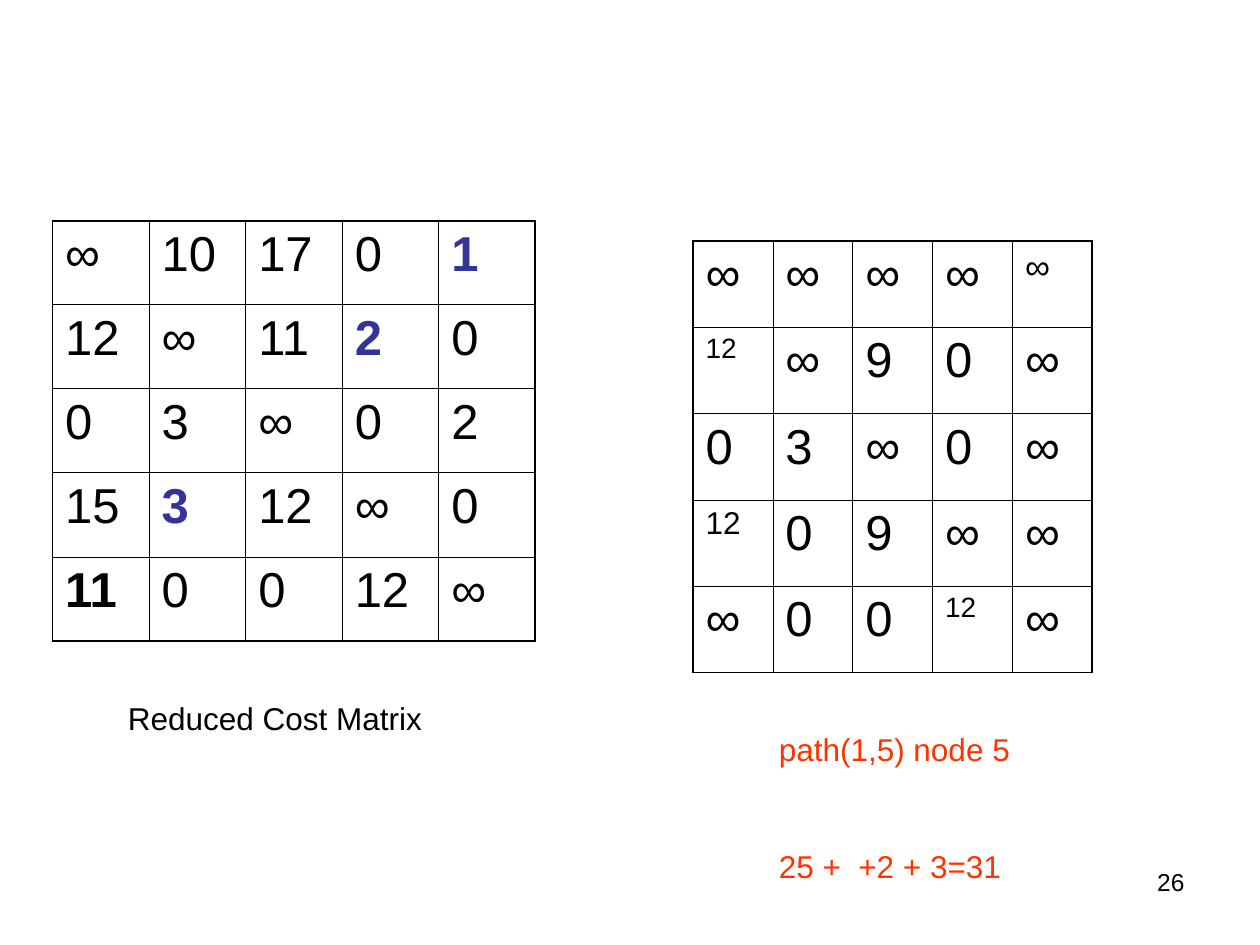
from pptx import Presentation
from pptx.dml.color import RGBColor
from pptx.enum.text import MSO_ANCHOR, MSO_AUTO_SIZE, PP_ALIGN
from pptx.oxml.ns import qn
from pptx.util import Cm, Pt
from lxml import etree

TOP = MSO_ANCHOR.TOP
GROW, FIXED = MSO_AUTO_SIZE.SHAPE_TO_FIT_TEXT, MSO_AUTO_SIZE.NONE
LEFT, RIGHT = PP_ALIGN.LEFT, PP_ALIGN.RIGHT

THEME = {
    "font": "Arial",
    "ink": "000000", "marked": "333399", "accent": "FF3300",
    "entry": 28, "caption": 18, "number": 14,
    "inner_line": 0.45, "outer_line": 1.08,
}

# Content: matrices as rows of entries, with format exceptions by (row, column)
MARKED = {"color": THEME["marked"], "bold": True}
MATRICES = [
    {
        "box": (13.97, 4.86, 8.05, 8.7),
        "rows": ["∞ ∞ ∞ ∞ ∞", "12 ∞ 9 0 ∞", "0 3 ∞ 0 ∞",
                 "12 0 9 ∞ ∞", "∞ 0 0 12 ∞"],
        "special": {(0, 4): {"size": 20}, (1, 0): {"size": 16},
                    (3, 0): {"size": 18}, (4, 3): {"size": 16}},
    },
    {
        "box": (1.06, 4.45, 9.73, 8.47),
        "rows": ["∞ 10 17 0 1", "12 ∞ 11 2 0", "0 3 ∞ 0 2",
                 "15 3 12 ∞ 0", "11 0 0 12 ∞"],
        "special": {(0, 4): MARKED, (1, 3): MARKED, (3, 1): MARKED,
                    (4, 0): {"bold": True}},
    },
]

LABELS = [
    {"box": (2.33, 13.97, 6.43, 1.02), "lines": ["Reduced Cost Matrix"],
     "font": {"size": THEME["caption"]}, "wrap": False, "fit": GROW},
    {"box": (15.45, 14.6, 8.46, 3.35),
     "lines": ["path(1,5) node 5", "25 +  +2 + 3=31"],
     "font": {"size": THEME["caption"], "color": THEME["accent"]},
     "gap": 45, "fit": GROW},
    {"box": (18.21, 17.35, 5.92, 1.32), "lines": ["26"],
     "font": {"size": THEME["number"]}, "align": RIGHT},
]


def add_run(p, text, size=THEME["entry"], color=THEME["ink"], bold=False):
    r = p.add_run()
    r.text = text
    values = {"name": THEME["font"], "size": Pt(size), "bold": bold}
    for name, value in values.items():
        setattr(r.font, name, value)
    r.font.color.rgb = RGBColor.from_string(color)


def set_borders(cell, widths):
    """Draw the cell edges; widths maps L, R, T, B to points."""
    tc_pr = cell._tc.get_or_add_tcPr()
    for i, (side, width) in enumerate(widths.items()):
        ln = etree.Element(qn(f"a:ln{side}"), w=str(Pt(width)))
        fill = etree.SubElement(ln, qn("a:solidFill"))
        etree.SubElement(fill, qn("a:srgbClr"), val=THEME["ink"])
        tc_pr.insert(i, ln)


def add_matrix(s, box, rows, special):
    grid = [row.split() for row in rows]
    n = len(grid)
    table = s.shapes.add_table(n, n, *map(Cm, box)).table
    table.first_row = table.horz_banding = False
    for col in table.columns:
        col.width = Cm(box[2] / n)
    for row in table.rows:
        row.height = Cm(box[3] / n)
    for i, entries in enumerate(grid):
        for j, text in enumerate(entries):
            cell = table.cell(i, j)
            cell.vertical_anchor = TOP
            cell.fill.background()
            on_edge = {"L": j == 0, "R": j == n - 1,
                       "T": i == 0, "B": i == n - 1}
            set_borders(cell, {
                side: THEME["outer_line" if outer else "inner_line"]
                for side, outer in on_edge.items()})
            add_run(cell.text_frame.paragraphs[0], text,
                    **special.get((i, j), {}))


def add_label(s, box, lines, font, wrap=True, fit=FIXED, align=LEFT, gap=0):
    tf = s.shapes.add_textbox(*map(Cm, box)).text_frame
    values = {"word_wrap": wrap, "auto_size": fit, "vertical_anchor": TOP}
    for name, value in values.items():
        setattr(tf, name, value)
    for i, line in enumerate(lines):
        p = tf.add_paragraph() if i else tf.paragraphs[0]
        p.alignment = align
        if i:
            p.space_before = Pt(gap)
        add_run(p, line, **font)


def main():
    prs = Presentation()
    prs.slide_width, prs.slide_height = Cm(25.4), Cm(19.05)
    s = prs.slides.add_slide(prs.slide_layouts[6])
    # Matrices
    for matrix in MATRICES:
        add_matrix(s, **matrix)
    # Captions and slide number
    for label in LABELS:
        add_label(s, **label)
    prs.save("out.pptx")


if __name__ == "__main__":
    main()
